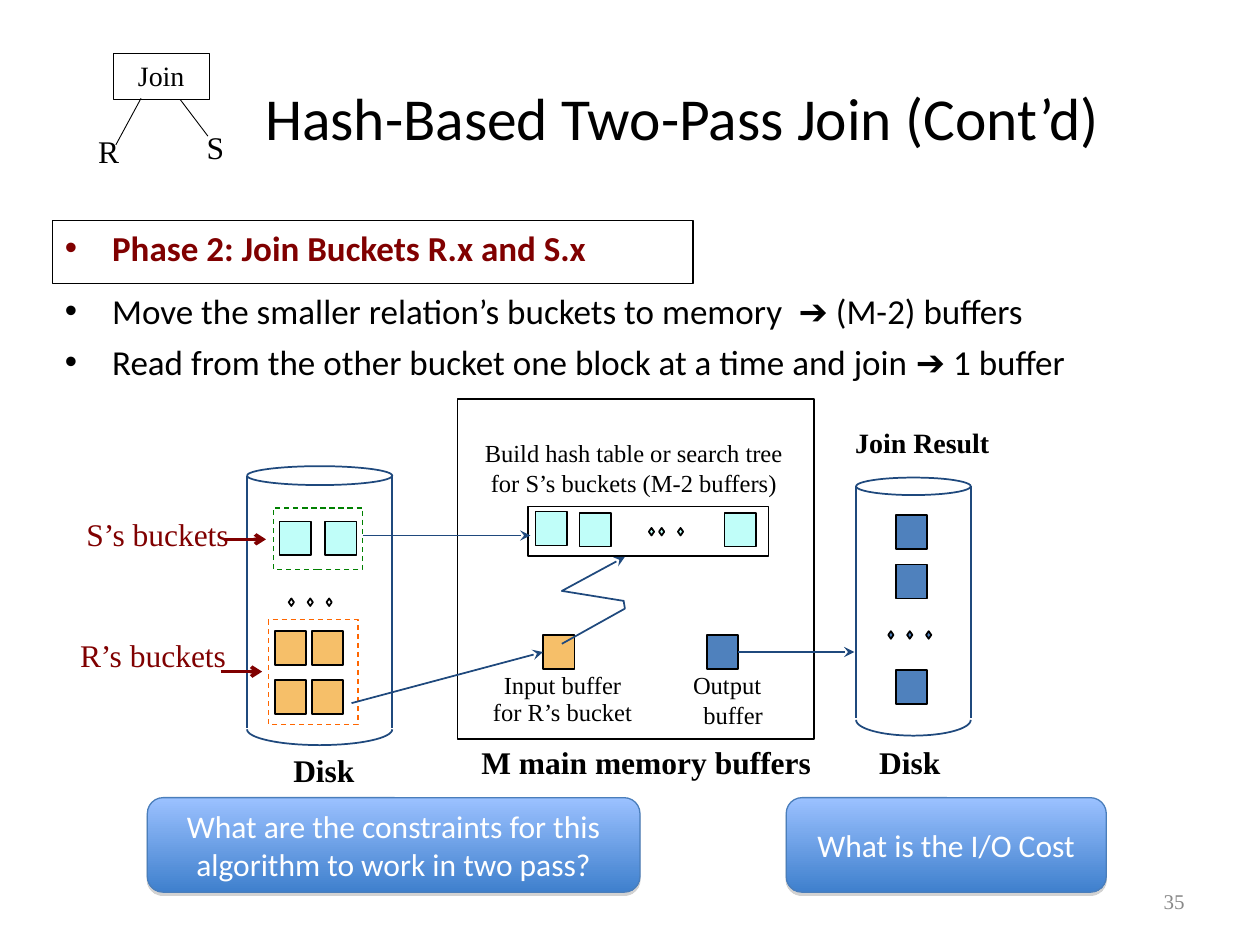
from math import cos, pi, sin

from lxml.etree import SubElement
from pptx import Presentation
from pptx.dml.color import RGBColor
from pptx.enum.dml import MSO_LINE_DASH_STYLE as DASH
from pptx.enum.shapes import MSO_CONNECTOR, MSO_SHAPE as SHAPE
from pptx.enum.text import MSO_ANCHOR as ANCHOR, MSO_AUTO_SIZE as FIT, PP_ALIGN as ALIGN
from pptx.oxml.ns import qn
from pptx.util import Pt

COLORS = {
    "black": "000000", "white": "FFFFFF", "gray": "898989", "maroon": "800000",
    "navy": "1F497D", "blue": "4F81BD", "orange": "F6BF69", "cyan": "C0FEF9",
    "green": "008000", "red": "FF6600", "edge": "4A7EBB",
    "light": "9BC1FF", "deep": "3F80CD", "shade": "808080",
}
SERIF, SANS = "Times New Roman", "Calibri"
SQUARE = (18, 19.4)
DOT = (3, 4.3)
DOT_STEP = 10.8


def rgb(name):
    """Look up a named colour."""
    return RGBColor.from_string(COLORS[name])


def style_font(font, size, color, face=SERIF, bold=False):
    """Set the look of a font."""
    font.size, font.name, font.bold = Pt(size), face, bold
    font.color.rgb = rgb(color)


def write(shape, lines, size, color="black", face=SERIF, bold=False,
          align=ALIGN.CENTER, anchor=ANCHOR.TOP, wrap=True):
    """Fill a shape with styled paragraphs."""
    frame = shape.text_frame
    frame.text = lines
    frame.word_wrap, frame.vertical_anchor = wrap, anchor
    if not wrap:
        frame.auto_size = FIT.SHAPE_TO_FIT_TEXT
    for para in frame.paragraphs:
        para.alignment = align
        for span in para.runs:
            style_font(span.font, size, color, face, bold)
    return frame


def add_label(page, bounds, lines, size, **look):
    """Add a text box."""
    box = page.shapes.add_textbox(*map(Pt, bounds))
    return write(box, lines, size, **look)


def add_bullets(frame, color, bold=False):
    """Turn the paragraphs of a frame into a bulleted list."""
    for index, para in enumerate(frame.paragraphs):
        props = para._p.get_or_add_pPr()
        props.set("marL", str(Pt(27)))
        props.set("indent", str(Pt(-27)))
        para.space_before = Pt(5 if index else 0)
        tint = SubElement(props, qn("a:buClr"))
        SubElement(tint, qn("a:srgbClr"), val=COLORS[color])
        SubElement(props, qn("a:buFont"), typeface="Arial")
        SubElement(props, qn("a:buChar"), char="•")
        style_font(para.font, 20, color, SANS, bold)


def add_box(page, bounds, fill=None, line="black", width=1, kind=SHAPE.RECTANGLE, dash=None):
    """Add a preset shape with an optional fill."""
    box = page.shapes.add_shape(kind, *map(Pt, bounds))
    box.shadow.inherit = False
    if fill:
        box.fill.solid()
        box.fill.fore_color.rgb = rgb(fill)
    else:
        box.fill.background()
    box.line.color.rgb, box.line.width = rgb(line), Pt(width)
    if dash:
        box.line.dash_style = dash
    return box


def add_squares(page, corners, fill):
    """Add one block square at each corner."""
    return [add_box(page, corner + SQUARE, fill) for corner in corners]


def add_dots(page, lefts, top, fill=None):
    """Add a row of small diamonds."""
    for left in lefts:
        add_box(page, (left, top) + DOT, fill, kind=SHAPE.DIAMOND)


def even_dots(left):
    """Give the left edges of three evenly spaced dots."""
    return [left + DOT_STEP * step for step in range(3)]


def add_head(shape, head):
    """Put an arrowhead at the end of a line."""
    SubElement(shape.element.spPr.find(qn("a:ln")), qn("a:tailEnd"), type=head)


def add_line(page, start, end, color="navy", width=1, head=None):
    """Add a straight line, with an arrowhead if named."""
    line = page.shapes.add_connector(MSO_CONNECTOR.STRAIGHT, *map(Pt, start + end))
    line.line.color.rgb, line.line.width = rgb(color), Pt(width)
    if head:
        add_head(line, head)
    SubElement(line.element.spPr, qn("a:effectLst"))
    return line


def add_path(page, points):
    """Add an open, unfilled outline."""
    spots = [(Pt(x), Pt(y)) for x, y in points]
    builder = page.shapes.build_freeform(*spots[0])
    builder.add_line_segments(spots[1:], close=False)
    path = builder.convert_to_shape()
    path.shadow.inherit = False
    path.fill.background()
    path.line.color.rgb, path.line.width = rgb("navy"), Pt(1)
    return path


def add_disk(page, left, top, width, cap, bottom):
    """Add a disk drum made of a lid, two sides and a rounded base."""
    add_box(page, (left, top, width, cap), line="navy", kind=SHAPE.OVAL)
    for x in (left, left + width):
        add_line(page, (x, top + cap / 2), (x, bottom))
    angles = [pi * step / 32 for step in range(33)]
    add_path(page, [(left + width / 2 * (1 + cos(a)), bottom + 1 + 9 * sin(a)) for a in angles])


def add_question(page, left, width, question):
    """Add a rounded question panel with a gradient and a shadow."""
    panel = add_box(page, (left, 455.8, width, 54), line="edge", width=0.75,
                    kind=SHAPE.ROUNDED_RECTANGLE)
    panel.fill.gradient()
    panel.fill.gradient_angle = 270
    for stop, color in zip(panel.fill.gradient_stops, ("light", "deep")):
        stop.color.rgb = rgb(color)
    effects = panel.element.spPr.find(qn("a:effectLst"))
    shadow = SubElement(effects, qn("a:outerShdw"), blurRad="0", dist=str(Pt(1.8)),
                        dir="5400000", rotWithShape="0")
    tint = SubElement(shadow, qn("a:srgbClr"), val=COLORS["shade"])
    SubElement(tint, qn("a:alpha"), val="35000")
    write(panel, question, 18, color="white", face=SANS, anchor=ANCHOR.MIDDLE)


def add_join_tree(page):
    """Add the small join operator tree."""
    write(add_box(page, (64.8, 30.2, 54.7, 26.6), width=0.25), "Join", 16)
    add_line(page, (80.6, 56.2), (66.2, 82.8), "black", 0.5)
    add_line(page, (103, 56.9), (118.8, 77.8), "black", 0.5)
    add_label(page, (49, 72, 25.9, 28.8), "R", 18, wrap=False)
    add_label(page, (110.9, 69.8, 24.5, 28.8), "S", 18, wrap=False)


def add_points(page):
    """Add the phase heading and its two steps."""
    phase = add_box(page, (30, 126, 366, 36), width=0.75)
    frame = write(phase, "Phase 2: Join Buckets R.x and S.x", 20, "maroon", SANS, True, ALIGN.LEFT)
    add_bullets(frame, "maroon", True)
    steps = [("Move the smaller relation’s buckets to memory  ", " (M-2) buffers"),
             ("Read from the other bucket one block at a time and join ", " 1 buffer")]
    frame = add_label(page, (30, 162, 648, 72), "\n".join(before for before, _ in steps), 20,
                      face=SANS, align=ALIGN.LEFT)
    for para, (_, after) in zip(frame.paragraphs, steps):
        for words, face in (("➔", "Arial"), (after, SANS)):
            span = para.add_run()
            span.text = words
            style_font(span.font, 20, "black", face)
    add_bullets(frame, "black")


def add_source_disk(page):
    """Add the disk that holds the buckets of S and R."""
    add_disk(page, 141.2, 266.4, 83, 10.8, 415.8)
    add_squares(page, [(159.8, 298), (185.8, 298)], "cyan")
    add_squares(page, [(x, y) for y in (360.7, 388.8) for x in (157, 178.2)], "orange")
    add_dots(page, even_dots(165), 342)
    add_box(page, (156.2, 290.2, 51.1, 35.3), line="green", width=0.75, dash=DASH.DASH)
    add_box(page, (153.4, 354.2, 51.1, 59.8), line="red", width=0.75, dash=DASH.DASH)
    add_label(page, (41.8, 290.9, 96.5, 28.8), "S’s buckets", 18, color="maroon", wrap=False)
    add_label(page, (38.2, 360, 98.6, 28.8), "R’s buckets", 18, color="maroon", wrap=False)
    add_line(page, (128.2, 308.2), (152, 308.2), "maroon", 2, "arrow")
    add_line(page, (126, 383.8), (149.8, 383.8), "maroon", 2, "arrow")


def add_memory(page):
    """Add the main memory with its buffers and the data flow."""
    add_box(page, (261.4, 228.2, 203.8, 194))
    add_box(page, (301.7, 289.4, 137.5, 28.4))
    add_squares(page, [(306, 292.3), (331.2, 293), (414, 293)], "cyan")
    add_dots(page, (370.8, 376.6, 387.4), 301.7, "cyan")
    input_buffer, = add_squares(page, [(310.3, 362.9)], "orange")
    output_buffer, = add_squares(page, [(403.9, 362.9)], "blue")
    add_label(page, (265.7, 247, 193, 40.3), "Build hash table or search tree for S’s buckets (M-2 buffers)", 14)
    frame = add_label(page, (274.3, 386.6, 94.3, 32.4), "Input buffer\nfor R’s bucket", 14, wrap=False)
    frame.paragraphs[0].line_spacing = 0.5
    add_label(page, (388.8, 379.4, 56.9, 40.3), "Output \n buffer", 14, wrap=False)
    add_line(page, (207.4, 306), (303.1, 306), head="stealth")
    add_line(page, (200.9, 401.8), (310.3, 372.6), head="stealth").end_connect(input_buffer, 1)
    add_line(page, (421.9, 372.6), (488.2, 372.6), head="stealth").begin_connect(output_buffer, 3)
    probe = add_path(page, [(321.1, 367.9), (357.1, 347.8), (356.4, 343.4), (321.1, 337.7), (357.1, 318.2)])
    add_head(probe, "stealth")


def add_result_disk(page):
    """Add the disk that holds the join result."""
    add_disk(page, 489.2, 272.9, 65.5, 10, 410.4)
    add_squares(page, [(511.9, y) for y in (294.5, 322.6, 383)], "blue")
    add_dots(page, even_dots(507.6), 360.7, "blue")


def main():
    """Build the slide and save it."""
    deck = Presentation()
    deck.slide_width, deck.slide_height = Pt(720), Pt(540)
    page = deck.slides.add_slide(deck.slide_layouts[6])
    add_label(page, (77.8, 21.6, 624.2, 90), "Hash-Based Two-Pass Join (Cont’d)", 34,
              face=SANS, anchor=ANCHOR.MIDDLE)
    add_label(page, (516.2, 500.4, 167.8, 28.8), "35", 12, color="gray",
              align=ALIGN.RIGHT, anchor=ANCHOR.MIDDLE)
    add_join_tree(page)
    add_points(page)
    add_source_disk(page)
    add_memory(page)
    add_result_disk(page)
    for bounds, words, size in [
        ((267.8, 421.2, 203, 28.8), "M main memory buffers", 18),
        ((158.1, 425.5, 54, 28.8), "Disk", 18),
        ((492.9, 421.2, 54, 28.8), "Disk", 18),
        ((479, 239.8, 96, 25.9), "Join Result", 16),
    ]:
        add_label(page, bounds, words, size, bold=True, wrap=False)
    add_question(page, 84.2, 281.5, "What are the constraints for this algorithm to work in two pass?")
    add_question(page, 449.3, 182.9, "What is the I/O Cost")
    deck.save("out.pptx")


if __name__ == "__main__":
    main()
